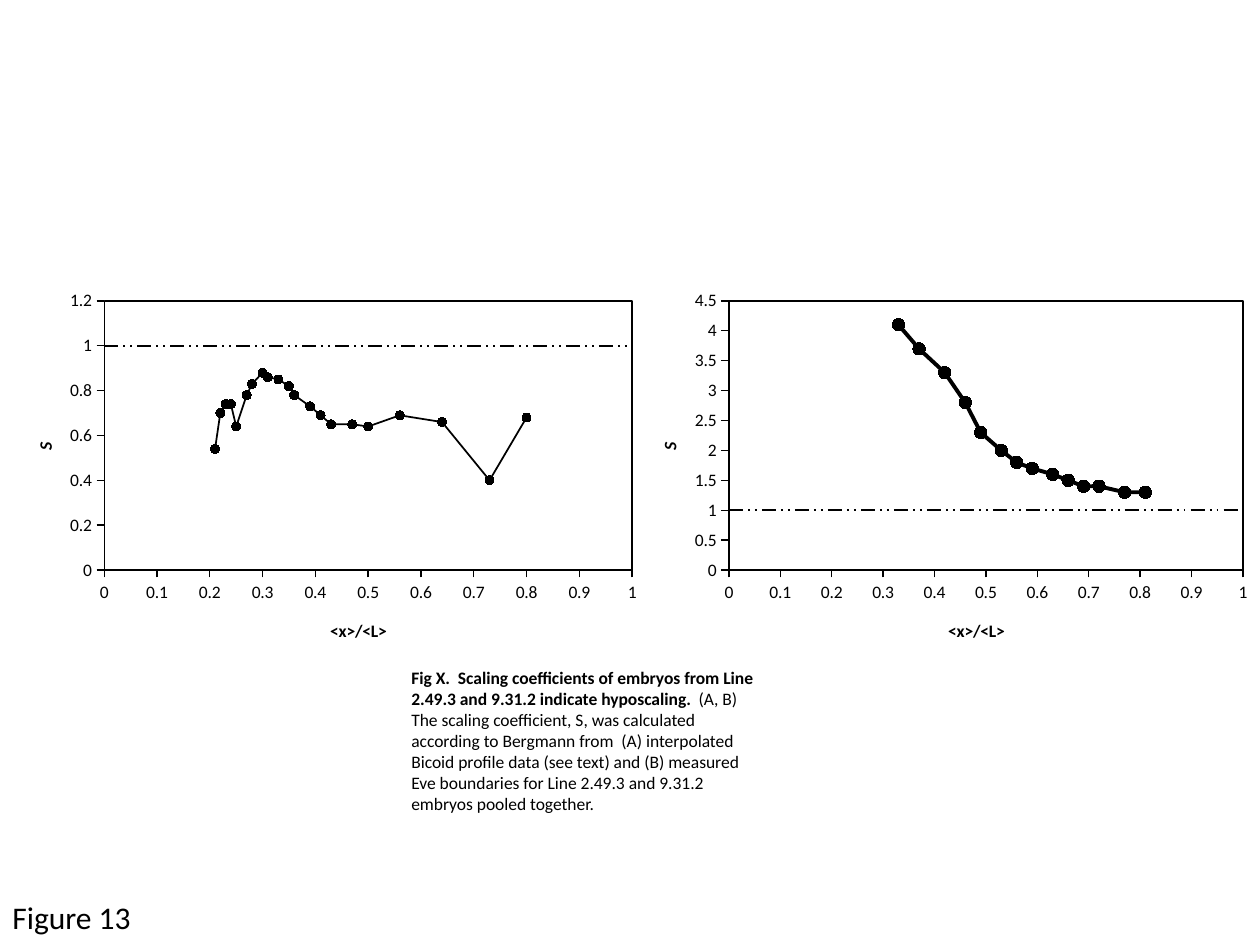
"""Build the scaling coefficient slide: two scatter charts, a caption and a figure label."""
from dataclasses import dataclass

from lxml.etree import _Element
from pptx import Presentation
from pptx.chart.axis import _BaseAxis
from pptx.chart.data import XyChartData
from pptx.chart.series import XySeries
from pptx.dml.color import RGBColor
from pptx.dml.line import LineFormat
from pptx.enum.chart import XL_CHART_TYPE, XL_MARKER_STYLE, XL_TICK_MARK
from pptx.enum.dml import MSO_LINE
from pptx.oxml import parse_xml
from pptx.oxml.ns import nsdecls, qn
from pptx.slide import Slide
from pptx.util import Emu, Pt


@dataclass(frozen=True)
class Theme:
    font: str = "Calibri"
    ink: RGBColor = RGBColor(0, 0, 0)
    body_size: float = 10
    label_size: float = 18
    axis_width: float = 0.75
    reference_width: float = 1


@dataclass(frozen=True)
class Box:
    left: int
    top: int
    width: int
    height: int

    def emu(self) -> tuple[Emu, Emu, Emu, Emu]:
        return px(self.left), px(self.top), px(self.width), px(self.height)


@dataclass(frozen=True)
class Run:
    text: str
    bold: bool = False


@dataclass(frozen=True)
class Panel:
    box: Box
    plot: Box
    positions: tuple[float, ...]
    coefficients: tuple[float, ...]
    maximum: float
    step: float
    line_width: float
    marker_size: int


THEME = Theme()
PIXELS_PER_INCH = 126
PANELS = (
    Panel(
        Box(630, 284, 630, 378), Box(99, 17, 514, 269),
        (0.33, 0.37, 0.42, 0.46, 0.49, 0.53, 0.56, 0.59, 0.63, 0.66, 0.69, 0.72, 0.77, 0.81),
        (4.1, 3.7, 3.3, 2.8, 2.3, 2, 1.8, 1.7, 1.6, 1.5, 1.4, 1.4, 1.3, 1.3),
        4.5, 0.5, 2.25, 7,
    ),
    Panel(
        Box(5, 284, 644, 378), Box(99, 17, 528, 269),
        (0.21, 0.22, 0.23, 0.24, 0.25, 0.27, 0.28, 0.3, 0.31, 0.33, 0.35,
         0.36, 0.39, 0.41, 0.43, 0.47, 0.5, 0.56, 0.64, 0.73, 0.8),
        (0.54, 0.7, 0.74, 0.74, 0.64, 0.78, 0.83, 0.88, 0.86, 0.85, 0.82,
         0.78, 0.73, 0.69, 0.65, 0.65, 0.64, 0.69, 0.66, 0.4, 0.68),
        1.2, 0.2, 1, 5,
    ),
)
CAPTION = (
    Run("Fig X.  Scaling coefficients of embryos from Line 2.49.3 and 9.31.2 "
        "indicate hyposcaling.", bold=True),
    Run("  (A, B) The scaling coefficient, S, was calculated according to Bergmann from  "
        "(A) interpolated Bicoid profile data (see text) and (B) measured Eve boundaries "
        "for Line 2.49.3 and 9.31.2 embryos pooled together."),
)


def px(length: int) -> Emu:
    return Emu(round(length * 914400 / PIXELS_PER_INCH))


def add_text(slide: Slide, box: Box, runs: tuple[Run, ...], *, size: float, wrap: bool) -> None:
    frame = slide.shapes.add_textbox(*box.emu()).text_frame
    frame.word_wrap = wrap
    for item in runs:
        run = frame.paragraphs[0].add_run()
        run.text = item.text
        run.font.name = THEME.font
        run.font.size = Pt(size)
        run.font.bold = item.bold
        run.font.color.rgb = THEME.ink


def style_line(line: LineFormat, width: float) -> None:
    line.color.rgb = THEME.ink
    line.width = Pt(width)


def make_layout(inner: bool = False, **fractions: float) -> _Element:
    target = '<c:layoutTarget val="inner"/>' if inner else ""
    modes = '<c:xMode val="edge"/><c:yMode val="edge"/>'
    values = "".join(f'<c:{key} val="{value:.3f}"/>' for key, value in fractions.items())
    return parse_xml(
        f'<c:layout {nsdecls("c")}><c:manualLayout>{target}{modes}{values}'
        "</c:manualLayout></c:layout>"
    )


def remove_layout(parent: _Element) -> None:
    for layout in parent.findall(qn("c:layout")):
        parent.remove(layout)


def style_axis(axis: _BaseAxis, title: str, maximum: float, step: float, *,
               italic: bool, x: float, y: float) -> None:
    axis.minimum_scale, axis.maximum_scale, axis.major_unit = 0, maximum, step
    axis.has_major_gridlines = False
    axis.major_tick_mark = XL_TICK_MARK.OUTSIDE
    axis.minor_tick_mark = XL_TICK_MARK.NONE
    axis.tick_labels.number_format = "General"
    axis.tick_labels.number_format_is_linked = False
    style_line(axis.format.line, THEME.axis_width)
    run = axis.axis_title.text_frame.paragraphs[0].add_run()
    run.text = title
    run.font.name = THEME.font
    run.font.size = Pt(THEME.body_size)
    run.font.bold = True
    run.font.italic = italic
    run.font.color.rgb = THEME.ink
    element = axis.axis_title._element
    remove_layout(element)
    element.find(qn("c:tx")).addnext(make_layout(x=x, y=y))


def style_series(measured: XySeries, reference: XySeries, panel: Panel) -> None:
    for series in (measured, reference):
        series._element.get_or_add_smooth().val = False
    style_line(measured.format.line, panel.line_width)
    measured.marker.style = XL_MARKER_STYLE.CIRCLE
    measured.marker.size = panel.marker_size
    measured.marker.format.fill.solid()
    measured.marker.format.fill.fore_color.rgb = THEME.ink
    style_line(measured.marker.format.line, THEME.axis_width)
    style_line(reference.format.line, THEME.reference_width)
    reference.format.line.dash_style = MSO_LINE.DASH_DOT_DOT
    reference.marker.style = XL_MARKER_STYLE.NONE


def frame_plot(plot_area: _Element, panel: Panel) -> None:
    remove_layout(plot_area)
    plot, box = panel.plot, panel.box
    plot_area.insert(0, make_layout(
        inner=True, x=plot.left / box.width, y=plot.top / box.height,
        w=plot.width / box.width, h=plot.height / box.height,
    ))
    plot_area.append(parse_xml(
        f'<c:spPr {nsdecls("c", "a")}><a:noFill/><a:ln w="{Pt(THEME.axis_width)}"><a:solidFill>'
        f'<a:srgbClr val="{THEME.ink}"/></a:solidFill></a:ln></c:spPr>'
    ))


def add_panel(slide: Slide, panel: Panel) -> None:
    data = XyChartData()
    measured = data.add_series("Series 1")
    for position, coefficient in zip(panel.positions, panel.coefficients):
        measured.add_data_point(position, coefficient)
    reference = data.add_series("Series 2")
    for position in (0, 1):
        reference.add_data_point(position, 1)
    chart = slide.shapes.add_chart(XL_CHART_TYPE.XY_SCATTER_LINES, *panel.box.emu(), data).chart
    chart.has_title = chart.has_legend = False
    chart.font.name = THEME.font
    chart.font.size = Pt(THEME.body_size)
    chart.font.color.rgb = THEME.ink
    chart.plots[0].vary_by_categories = False
    style_series(*chart.plots[0].series, panel)
    style_axis(chart.category_axis, "<x>/<L>", 1, 0.1, italic=False, x=0.5, y=0.88)
    style_axis(chart.value_axis, "S", panel.maximum, panel.step, italic=True, x=0.04, y=0.41)
    frame_plot(chart._chartSpace.chart.plotArea, panel)


def main() -> None:
    presentation = Presentation()
    presentation.slide_width, presentation.slide_height = px(1260), px(945)
    slide = presentation.slides.add_slide(presentation.slide_layouts[6])
    add_text(slide, Box(399, 661, 378, 161), CAPTION, size=THEME.body_size, wrap=True)
    for panel in PANELS:
        add_panel(slide, panel)
    add_text(slide, Box(0, 892, 145, 50), (Run("Figure 13"),), size=THEME.label_size, wrap=False)
    presentation.save("out.pptx")


if __name__ == "__main__":
    main()
